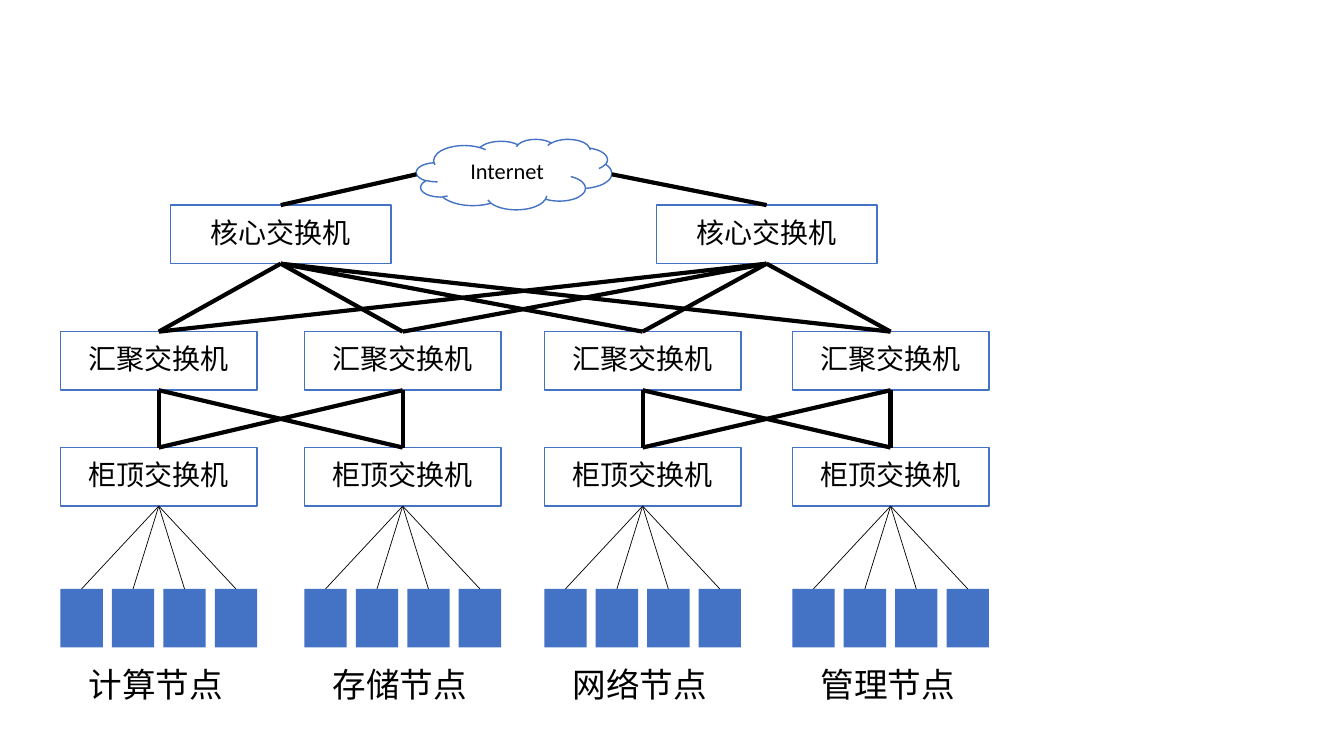
from dataclasses import dataclass
from itertools import product

from pptx import Presentation
from pptx.dml.color import RGBColor
from pptx.enum.shapes import MSO_CONNECTOR, MSO_SHAPE
from pptx.enum.text import MSO_ANCHOR, MSO_AUTO_SIZE, PP_ALIGN
from pptx.oxml.ns import qn
from pptx.util import Inches, Pt
from lxml.etree import SubElement

BLUE, WHITE, BLACK = "4472C4", "FFFFFF", "000000"
FONT = "Calibri"

prs = Presentation()
prs.slide_width, prs.slide_height = Inches(13.33), Inches(7.5)
COL, ROW = prs.slide_width / 100, prs.slide_height / 100
s = prs.slides.add_slide(prs.slide_layouts[6])


@dataclass(frozen=True)
class Box:
    left: float
    top: float
    width: float
    height: float

    @property
    def top_mid(self) -> tuple[float, float]:
        return self.left + self.width / 2, self.top

    @property
    def bottom_mid(self) -> tuple[float, float]:
        return self.left + self.width / 2, self.top + self.height

    @property
    def left_mid(self) -> tuple[float, float]:
        return self.left, self.top + self.height / 2

    @property
    def right_mid(self) -> tuple[float, float]:
        return self.left + self.width, self.top + self.height / 2

    def emu(self) -> tuple[int, int, int, int]:
        return (round(self.left * COL), round(self.top * ROW),
                round(self.width * COL), round(self.height * ROW))


@dataclass(frozen=True)
class Rack:
    label: str
    left: float


def rgb(color: str) -> RGBColor:
    return RGBColor.from_string(color)


def write(sp, text: str, size: int, align: PP_ALIGN, space_after: int = 0) -> None:
    tf = sp.text_frame
    tf.word_wrap = True
    tf.margin_left = tf.margin_right = Inches(0.2)
    tf.margin_top = tf.margin_bottom = Inches(0.16)
    p = tf.paragraphs[0]
    p.text = text
    p.alignment = align
    p.line_spacing = 0.9
    p.space_after = Pt(space_after)
    p.font.name, p.font.size = FONT, Pt(size)
    p.font.color.rgb = rgb(BLACK)


def draw_node(box: Box, text: str, size: int = 20,
              kind: MSO_SHAPE = MSO_SHAPE.RECTANGLE) -> None:
    sp = s.shapes.add_shape(kind, *box.emu())
    sp.shadow.inherit = False
    sp.fill.solid()
    sp.fill.fore_color.rgb = rgb(WHITE)
    sp.line.color.rgb = rgb(BLUE)
    sp.line.width = Pt(1)
    sp.text_frame.vertical_anchor = MSO_ANCHOR.MIDDLE
    write(sp, text, size, PP_ALIGN.CENTER)


def draw_server(box: Box) -> None:
    sp = s.shapes.add_shape(MSO_SHAPE.RECTANGLE, *box.emu())
    sp.shadow.inherit = False
    sp.fill.solid()
    sp.fill.fore_color.rgb = rgb(BLUE)
    sp.line.fill.background()


def draw_label(box: Box, text: str) -> None:
    sp = s.shapes.add_textbox(*box.emu())
    write(sp, text, 24, PP_ALIGN.LEFT, 6)
    sp.text_frame.auto_size = MSO_AUTO_SIZE.SHAPE_TO_FIT_TEXT


def link(start: tuple[float, float], end: tuple[float, float], width: float = 3) -> None:
    (x1, y1), (x2, y2) = start, end
    line = s.shapes.add_connector(
        MSO_CONNECTOR.STRAIGHT,
        round(x1 * COL), round(y1 * ROW), round(x2 * COL), round(y2 * ROW))
    line.line.color.rgb = rgb(BLACK)
    line.line.width = Pt(width)
    SubElement(line._element.spPr, qn("a:effectLst"))


RACKS = [Rack("计算节点", 4.5), Rack("存储节点", 22.65),
         Rack("网络节点", 40.5), Rack("管理节点", 58.95)]
SWITCH_W, CORE_W, NODE_H = 14.63, 16.43, 7.75
CORE_TOP, AGG_TOP, TOR_TOP, SERVER_TOP, LABEL_TOP = 27.13, 43.87, 59.2, 77.9, 86.27
SERVERS, SERVER_W = 4, 3.15
SERVER_PITCH = (SWITCH_W - SERVER_W) / (SERVERS - 1)

cloud = Box(30.98, 18.4, 14.55, 9.33)
aggs = [Box(rack.left, AGG_TOP, SWITCH_W, NODE_H) for rack in RACKS]
tors = [Box(rack.left, TOR_TOP, SWITCH_W, NODE_H) for rack in RACKS]
pods = [slice(0, 2), slice(2, 4)]
cores = []
for pod in pods:
    center = sum(agg.top_mid[0] for agg in aggs[pod]) / 2
    cores.append(Box(center - CORE_W / 2, CORE_TOP, CORE_W, NODE_H))

draw_node(cloud, "Internet", 16, MSO_SHAPE.CLOUD)
for boxes, name in ((cores, "核心交换机"), (aggs, "汇聚交换机"), (tors, "柜顶交换机")):
    for box in boxes:
        draw_node(box, name)

for rack, tor in zip(RACKS, tors):
    for i in range(SERVERS):
        server = Box(rack.left + i * SERVER_PITCH, SERVER_TOP, SERVER_W, NODE_H)
        draw_server(server)
        link(server.top_mid, tor.bottom_mid, 0.5)
    draw_label(Box(rack.left + 0.6, LABEL_TOP, 14.4, 9.2), rack.label)

for core, agg in product(cores, aggs):
    link(agg.top_mid, core.bottom_mid)
for pod in pods:
    for tor, agg in product(tors[pod], aggs[pod]):
        link(tor.top_mid, agg.bottom_mid)
link(cores[0].top_mid, cloud.left_mid)
link(cloud.right_mid, cores[1].top_mid)

prs.save("out.pptx")
